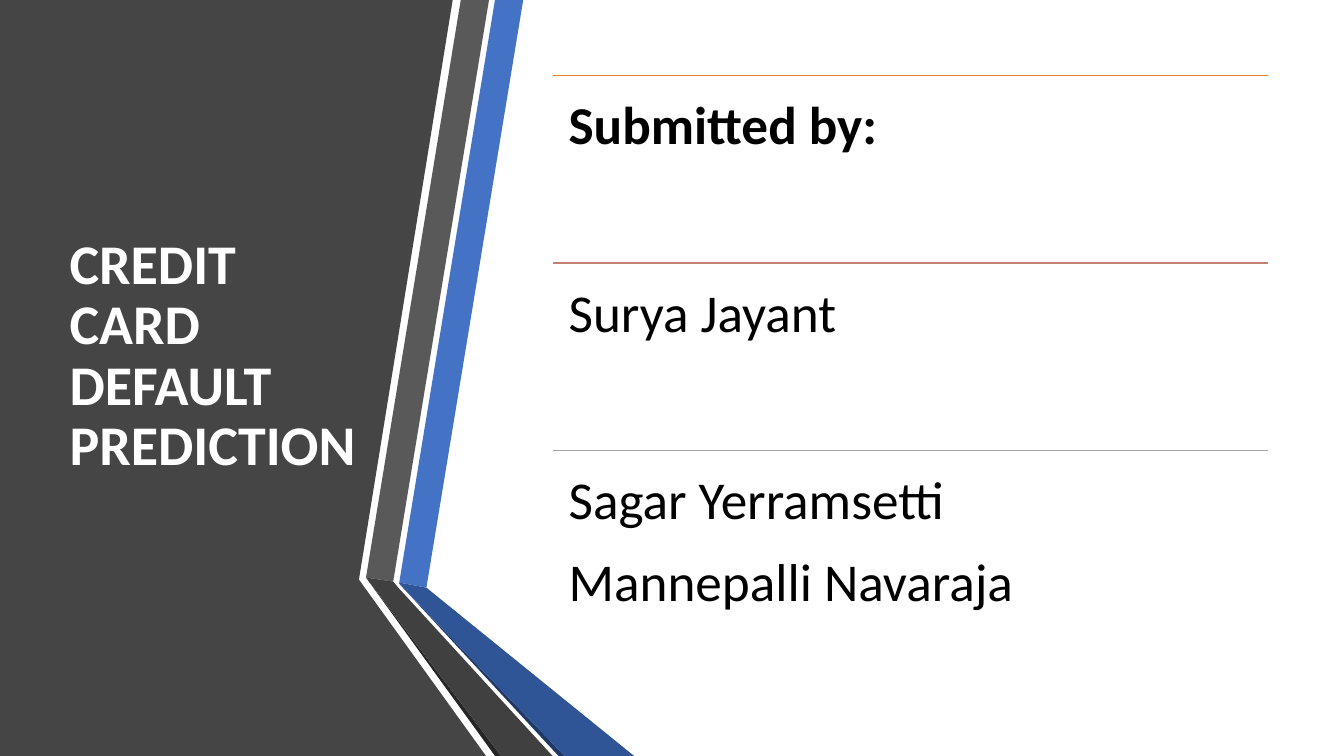
from pptx import Presentation
from pptx.dml.color import RGBColor
from pptx.enum.shapes import MSO_CONNECTOR
from pptx.enum.text import MSO_ANCHOR, MSO_AUTO_SIZE, PP_ALIGN
from pptx.oxml.ns import qn
from pptx.util import Inches, Pt
from lxml.etree import SubElement

TITLE_ONLY = 5
ROW_LEFT, ROW_TOP, ROW_WIDTH, ROW_HEIGHT = 5.48, 0.75, 7.1, 1.86

# Fill and outline points in inches, from back to front.
RIBBON_FACES = [
    ("454545", [(0, 0), (4.49, 0), (3.56, 5.75), (4.82, 7.5), (0, 7.5)]),
    ("4472C4", [(3.96, 5.78), (4.23, 5.83), (5.19, 0), (4.91, 0)]),
    ("595959", [(4.85, 0), (4.57, 0), (3.63, 5.73), (3.9, 5.77)]),
    ("262626", [(3.63, 5.73), (4.91, 7.5), (4.97, 7.5)]),
    ("203864", [(3.96, 5.79), (5.54, 7.5), (5.6, 7.5)]),
    ("2F5597", [(3.96, 5.78), (3.96, 5.79), (5.6, 7.5), (6.29, 7.5), (4.23, 5.83)]),
    ("404040", [(3.63, 5.73), (4.97, 7.5), (5.48, 7.5), (3.95, 5.83), (3.9, 5.77)]),
]

# Rule colour, bold flag and lines of each row.
CREDIT_ROWS = [
    ("ED7D31", True, ["Submitted by:"]),
    ("C48070", False, ["Surya Jayant"]),
    ("A5A5A5", False, ["Sagar Yerramsetti", "Mannepalli Navaraja"]),
]


def rgb(hex_code):
    """Return the colour for a hex string."""
    return RGBColor.from_string(hex_code)


def apply_format(target, values):
    """Set every attribute named in a dict of format values."""
    for name, value in values.items():
        setattr(target, name, value)


def write_lines(frame, lines, font, paragraph):
    """Fill a text frame with one formatted paragraph per line."""
    for index, line in enumerate(lines):
        para = frame.paragraphs[0] if index == 0 else frame.add_paragraph()
        apply_format(para, paragraph)
        run = para.add_run()
        run.text = line
        apply_format(run.font, {"name": "Calibri", "size": Pt(font["size"]),
                                "bold": font["bold"]})
        run.font.color.rgb = rgb(font["color"])


def add_face(slide, color, points):
    """Draw one flat polygon of the folded ribbon."""
    corners = [(Inches(x), Inches(y)) for x, y in points]
    outline = slide.shapes.build_freeform(*corners[0])
    outline.add_line_segments(corners[1:], close=True)
    face = outline.convert_to_shape()
    face.shadow.inherit = False
    face.fill.solid()
    face.fill.fore_color.rgb = rgb(color)
    face.line.fill.background()


def add_title(slide, wording):
    """Place the title on the dark panel."""
    title = slide.shapes.title
    apply_format(title, {"left": Inches(0.59), "top": Inches(0.75),
                         "width": Inches(3.06), "height": Inches(5.58)})
    frame = title.text_frame
    apply_format(frame, {"word_wrap": True, "auto_size": MSO_AUTO_SIZE.NONE,
                         "vertical_anchor": MSO_ANCHOR.MIDDLE})
    write_lines(frame, [wording], {"size": 40, "bold": True, "color": "FFFFFF"},
                {"alignment": PP_ALIGN.LEFT, "line_spacing": 0.9})


def add_rule(slide, top, color):
    """Draw the thin line above a row."""
    rule = slide.shapes.add_connector(
        MSO_CONNECTOR.STRAIGHT, Inches(ROW_LEFT), Inches(top),
        Inches(ROW_LEFT + ROW_WIDTH), Inches(top))
    rule.line.color.rgb = rgb(color)
    rule.line.width = Pt(1)
    SubElement(rule._element.spPr, qn("a:effectLst"))


def add_row(slide, top, color, bold, lines):
    """Add a rule and the lines of text below it."""
    add_rule(slide, top, color)
    row = slide.shapes.add_textbox(Inches(ROW_LEFT), Inches(top),
                                   Inches(ROW_WIDTH), Inches(ROW_HEIGHT))
    frame = row.text_frame
    sides = ("left", "top", "right", "bottom")
    apply_format(frame, {f"margin_{side}": Inches(0.16) for side in sides})
    apply_format(frame, {"word_wrap": True, "vertical_anchor": MSO_ANCHOR.TOP})
    write_lines(frame, lines, {"size": 38, "bold": bold, "color": "000000"},
                {"space_after": Pt(13)})


def main():
    """Build and save the slide."""
    deck = Presentation()
    apply_format(deck, {"slide_width": Inches(13.33), "slide_height": Inches(7.5)})
    slide = deck.slides.add_slide(deck.slide_layouts[TITLE_ONLY])
    for color, points in RIBBON_FACES:
        add_face(slide, color, points)
    # Bring the title in front of the panel.
    slide.shapes._spTree.append(slide.shapes.title._element)
    add_title(slide, "CREDIT CARD DEFAULT PREDICTION")
    for index, (color, bold, lines) in enumerate(CREDIT_ROWS):
        add_row(slide, ROW_TOP + index * ROW_HEIGHT, color, bold, lines)
    deck.save("out.pptx")


main()
